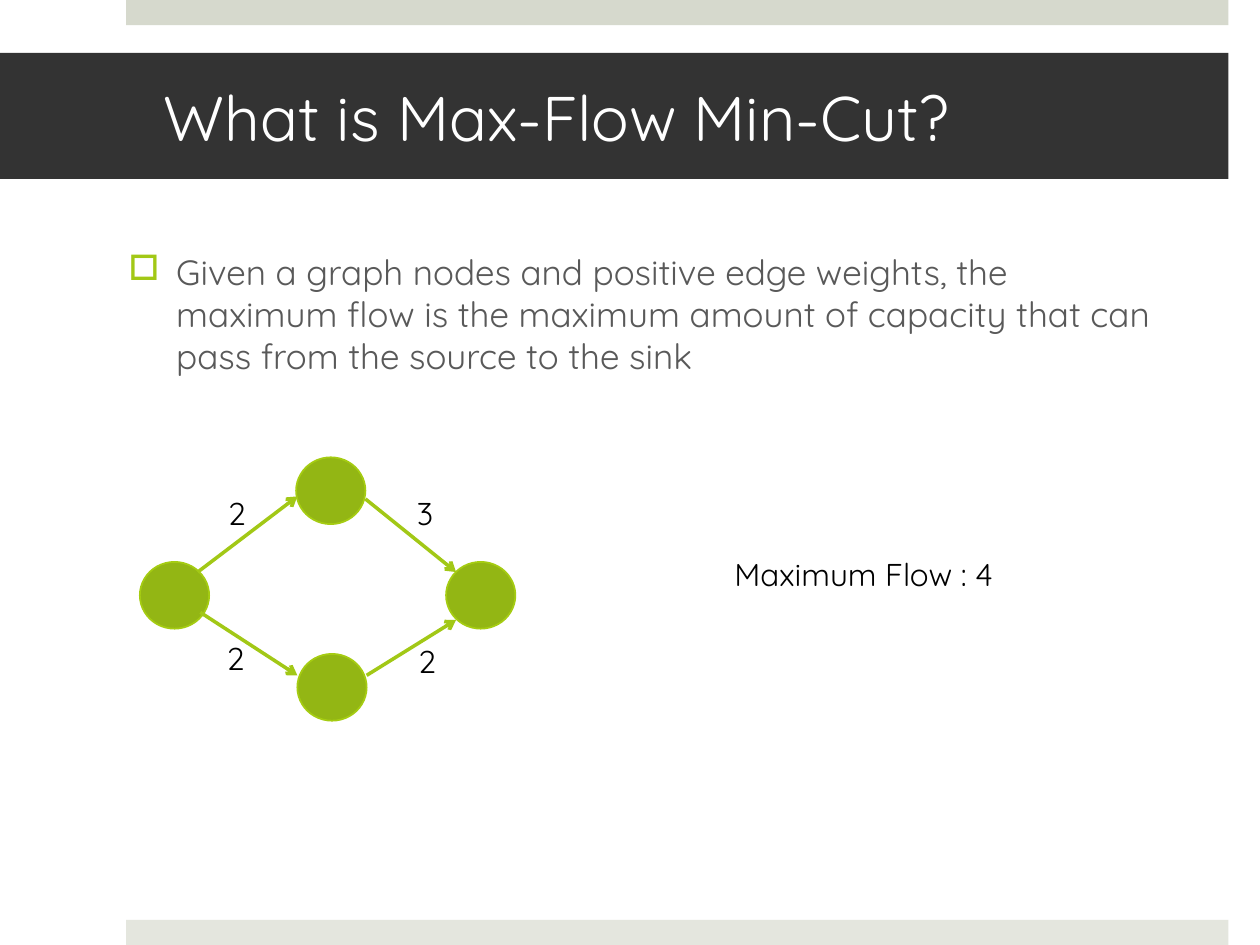
"""Builds the slide that explains Max-Flow Min-Cut with a four-node graph."""
from pptx import Presentation
from pptx.dml.color import RGBColor
from pptx.enum.shapes import MSO_CONNECTOR, MSO_SHAPE
from pptx.enum.text import MSO_ANCHOR, MSO_AUTO_SIZE, PP_ALIGN
from pptx.oxml.ns import qn
from pptx.util import Inches, Pt
from lxml import etree

FONT = "Quicksand"
TITLE = "What is Max-Flow Min-Cut?"
BODY = ("Given a graph nodes and positive edge weights, the maximum flow is the "
        "maximum amount of capacity that can pass from the source to the sink")
BANDS = [(0, "D6D9CD"), (7.3, "E4E6DE")]
NODE_SIZE = (0.55, 0.53)
NODES = [(1.11, 4.46), (2.35, 3.63), (2.36, 5.19), (3.54, 4.46)]
EDGES = [
    ((1.57, 4.54), (2.36, 3.94)),
    ((2.9, 3.96), (3.62, 4.54)),
    ((1.59, 4.86), (2.36, 5.36)),
    ((2.91, 5.36), (3.62, 4.92)),
]
LABELS = [
    ("2", 1.71, 3.87, 0.34),
    ("3", 3.21, 3.87, 0.34),
    ("2", 1.7, 5.02, 0.34),
    ("2", 3.22, 5.05, 0.34),
    ("Maximum Flow : 4", 5.73, 4.36, 2.37),
]


def rgb(value):
    return RGBColor.from_string(value)


def inches(*values):
    return [Inches(value) for value in values]


def write(frame, text, size, color):
    paragraph = frame.paragraphs[0]
    paragraph.alignment = PP_ALIGN.LEFT
    run = paragraph.add_run()
    run.text = text
    run.font.name, run.font.size = FONT, Pt(size)
    run.font.color.rgb = rgb(color)
    return paragraph


def add_filled(kind, box, fill, line=None):
    shape = slide.shapes.add_shape(kind, *inches(*box))
    shape.shadow.inherit = False
    shape.fill.solid()
    shape.fill.fore_color.rgb = rgb(fill)
    if line:
        shape.line.color.rgb = rgb(line)
        shape.line.width = Pt(1)
    else:
        shape.line.fill.background()


def add_arrow(start, end):
    arrow = slide.shapes.add_connector(MSO_CONNECTOR.STRAIGHT, *inches(*start, *end))
    arrow.line.color.rgb = rgb("A2C816")
    arrow.line.width = Pt(2)
    etree.SubElement(arrow.line._get_or_add_ln(), qn("a:tailEnd"), type="arrow")
    etree.SubElement(arrow._element.spPr, qn("a:effectLst"))


def add_text(text, box, size, color, wrap):
    frame = slide.shapes.add_textbox(*inches(*box)).text_frame
    frame.word_wrap = wrap
    frame.auto_size = MSO_AUTO_SIZE.NONE if wrap else MSO_AUTO_SIZE.SHAPE_TO_FIT_TEXT
    return write(frame, text, size, color)


def add_bullet(paragraph, char, color, indent):
    properties = paragraph._p.get_or_add_pPr()
    properties.set("marL", str(Inches(indent)))
    properties.set("indent", str(-Inches(indent)))
    bullet_color = etree.SubElement(properties, qn("a:buClr"))
    etree.SubElement(bullet_color, qn("a:srgbClr"), val=color)
    etree.SubElement(properties, qn("a:buChar"), char=char)


def format_title(title):
    title.left, title.top, title.width, title.height = inches(0, 0.42, 9.75, 1)
    title.fill.solid()
    title.fill.fore_color.rgb = rgb("333333")
    frame = title.text_frame
    frame.auto_size = MSO_AUTO_SIZE.NONE
    frame.vertical_anchor = MSO_ANCHOR.MIDDLE
    frame.margin_left, frame.margin_right = inches(1.3, 0.3)
    write(frame, TITLE, 36, "FFFFFF")


prs = Presentation()
prs.slide_width, prs.slide_height = inches(10, 7.5)
slide = prs.slides.add_slide(prs.slide_layouts[5])

format_title(slide.shapes.title)
for top, color in BANDS:
    add_filled(MSO_SHAPE.RECTANGLE, (1, top, 8.75, 0.2), color)
body = add_text(BODY, (0.92, 1.94, 8.32, 4.01), 20, "595959", True)
add_bullet(body, "□", "A2C816", 0.38)
for node in NODES:
    add_filled(MSO_SHAPE.OVAL, node + NODE_SIZE, "93B614", "A5CC12")
for start, end in EDGES:
    add_arrow(start, end)
for text, left, top, width in LABELS:
    add_text(text, (left, top, width, 0.4), 18, "000000", False)

prs.save("out.pptx")
